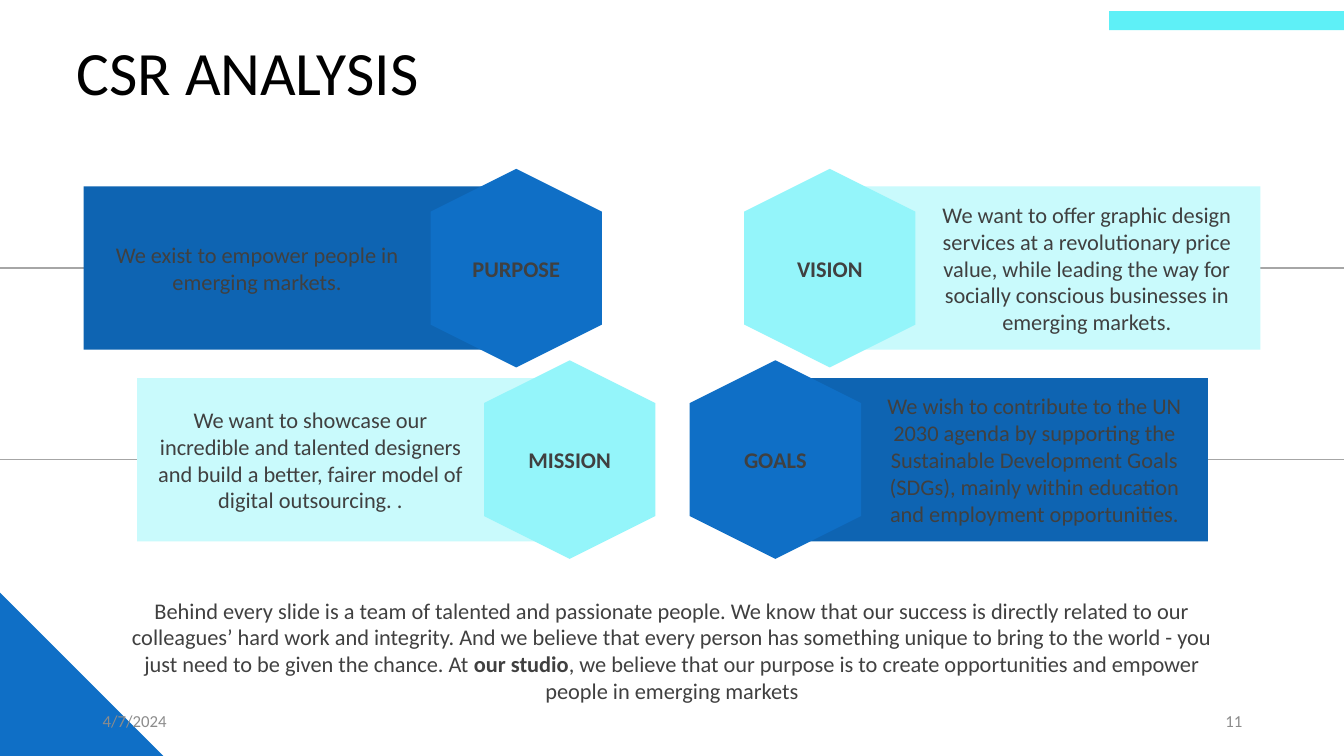
from dataclasses import dataclass
from lxml import etree
from pptx import Presentation
from pptx.dml.color import RGBColor
from pptx.enum.shapes import MSO_CONNECTOR, MSO_SHAPE
from pptx.enum.text import MSO_ANCHOR, MSO_AUTO_SIZE, PP_ALIGN
from pptx.oxml.ns import qn
from pptx.util import Inches, Pt

RECTANGLE, HEXAGON, TRIANGLE = MSO_SHAPE.RECTANGLE, MSO_SHAPE.HEXAGON, MSO_SHAPE.RIGHT_TRIANGLE
LEFT, CENTER, RIGHT = PP_ALIGN.LEFT, PP_ALIGN.CENTER, PP_ALIGN.RIGHT
TOP, MIDDLE = MSO_ANCHOR.TOP, MSO_ANCHOR.MIDDLE
NO_AUTOSIZE = MSO_AUTO_SIZE.NONE
STRAIGHT = MSO_CONNECTOR.STRAIGHT

TITLE = "CSR ANALYSIS"
DATE = "4/7/2024"
PAGE_NUMBER = "11"
CARDS = [
    {"label": "MISSION", "side": "left", "left": 1.36, "middle": 4.56, "hexagon_center": 5.65, "tone": "light",
     "text": "We want to showcase our incredible and talented designers and build a better, "
             "fairer model of digital outsourcing. ."},
    {"label": "GOALS", "side": "right", "left": 7.69, "middle": 4.56, "hexagon_center": 7.69, "tone": "dark",
     "text": "We wish to contribute to the UN 2030 agenda by supporting the Sustainable Development "
             "Goals (SDGs), mainly within education and employment opportunities."},
    {"label": "PURPOSE", "side": "left", "left": 0.83, "middle": 2.66, "hexagon_center": 5.12, "tone": "dark",
     "text": "We exist to empower people in emerging markets."},
    {"label": "VISION", "side": "right", "left": 8.21, "middle": 2.66, "hexagon_center": 8.23, "tone": "light",
     "text": "We want to offer graphic design services at a revolutionary price value, while leading "
             "the way for socially conscious businesses in emerging markets."},
]
CLOSING = [
    ("Behind every slide is a team of talented and passionate people. We know that our success is "
     "directly related to our colleagues’ hard work and integrity. And we believe that every person "
     "has something unique to bring to the world - you just need to be given the chance. At ", False),
    ("our studio", True),
    (", we believe that our purpose is to create opportunities and empower people in emerging markets", False),
]


@dataclass(frozen=True)
class Theme:
    font: str = "Calibri"
    title: str = "000000"
    body: str = "404040"
    footer: str = "8C8C8C"
    line: str = "A6A6A6"
    blue: str = "0F6FC6"
    dark_panel: str = "0E64B2"
    light_hexagon: str = "94F5FA"
    light_panel: str = "C9FAFC"
    accent: str = "5EF0F7"
    title_size: int = 44
    body_size: int = 16
    footer_size: int = 12


THEME = Theme()
TONES = {"dark": (THEME.dark_panel, THEME.blue), "light": (THEME.light_panel, THEME.light_hexagon)}
BODY = {"size": Pt(THEME.body_size), "color": THEME.body}
LABEL = BODY | {"bold": True}
FOOTER = {"size": Pt(THEME.footer_size), "color": THEME.footer}
HEADING = {"size": Pt(THEME.title_size), "color": THEME.title}
NO_MARGINS = {"margin_left": 0, "margin_right": 0, "margin_top": 0, "margin_bottom": 0}

SLIDE_WIDTH, SLIDE_HEIGHT = 13.33, 7.5
PANEL_WIDTH, PANEL_HEIGHT = 4.29, 1.62
HEXAGON_LENGTH, HEXAGON_WIDTH = 1.97, 1.7
LABEL_WIDTH, LABEL_HEIGHT = 1.51, 0.27
TEXT_WIDTH, TEXT_HEIGHT, TEXT_INSET = 3.1, 1.35, 0.17


def inches(*lengths):
    return [Inches(length) for length in lengths]


def centered(x, y, width, height):
    return x - width / 2, y - height / 2, width, height


def write(box, spans, style, align=CENTER, anchor=MIDDLE, margins=NO_MARGINS):
    frame = box.text_frame
    settings = {"word_wrap": True, "auto_size": NO_AUTOSIZE, "vertical_anchor": anchor} | margins
    for name, value in settings.items():
        setattr(frame, name, value)
    para = frame.paragraphs[0]
    para.alignment = align
    for text, bold in spans:
        span = para.add_run()
        span.text = text
        values = {"name": THEME.font, "bold": bold} | style
        color = values.pop("color")
        for name, value in values.items():
            setattr(span.font, name, value)
        span.font.color.rgb = RGBColor.from_string(color)


def add_text(page, bounds, spans, style, **layout):
    write(page.shapes.add_textbox(*inches(*bounds)), spans, style, **layout)


def add_block(page, kind, bounds, color, rotation=0):
    block = page.shapes.add_shape(kind, *inches(*bounds))
    block.shadow.inherit = False
    block.fill.solid()
    block.fill.fore_color.rgb = RGBColor.from_string(color)
    block.line.fill.background()
    block.rotation = rotation


def add_rule(page, start, end, y):
    rule = page.shapes.add_connector(STRAIGHT, *inches(start, y, end, y))
    rule.line.color.rgb = RGBColor.from_string(THEME.line)
    rule.line.width = Pt(1)
    etree.SubElement(rule._element.spPr, qn("a:effectLst"))


def add_card(page, card):
    panel_color, hexagon_color = TONES[card["tone"]]
    left, middle, center = card["left"], card["middle"], card["hexagon_center"]
    right = left + PANEL_WIDTH
    if card["side"] == "left":
        rule, text_left = (0, left), left + TEXT_INSET
    else:
        rule, text_left = (right, SLIDE_WIDTH), right - TEXT_INSET - TEXT_WIDTH
    add_rule(page, *rule, middle)
    add_block(page, RECTANGLE, (left, middle - PANEL_HEIGHT / 2, PANEL_WIDTH, PANEL_HEIGHT), panel_color)
    add_block(page, HEXAGON, centered(center, middle, HEXAGON_LENGTH, HEXAGON_WIDTH), hexagon_color, 90)
    add_text(page, centered(center, middle, LABEL_WIDTH, LABEL_HEIGHT), [(card["label"], True)], LABEL)
    add_text(page, (text_left, middle - TEXT_HEIGHT / 2, TEXT_WIDTH, TEXT_HEIGHT), [(card["text"], False)], BODY)


def main():
    deck = Presentation()
    deck.slide_width, deck.slide_height = inches(SLIDE_WIDTH, SLIDE_HEIGHT)
    page = deck.slides.add_slide(deck.slide_layouts.get_by_name("Title Only"))

    title = page.shapes.title
    title.left, title.top, title.width, title.height = inches(0.76, 0.34, 11.82, 0.74)
    write(title, [(TITLE, False)], HEADING, align=LEFT, anchor=TOP)

    add_block(page, TRIANGLE, (0, SLIDE_HEIGHT - 1.62, 1.62, 1.62), THEME.blue)
    add_block(page, RECTANGLE, (11, 0.11, 2.33, 0.19), THEME.accent)
    for text, left, align in [(DATE, 0.92, LEFT), (PAGE_NUMBER, 9.42, RIGHT)]:
        add_text(page, (left, 6.95, 3, 0.4), [(text, False)], FOOTER, align=align, margins={})
    for card in CARDS:
        add_card(page, card)
    add_text(page, (1.25, 5.92, 10.83, 1.08), CLOSING, BODY, anchor=TOP)

    deck.save("out.pptx")


if __name__ == "__main__":
    main()
